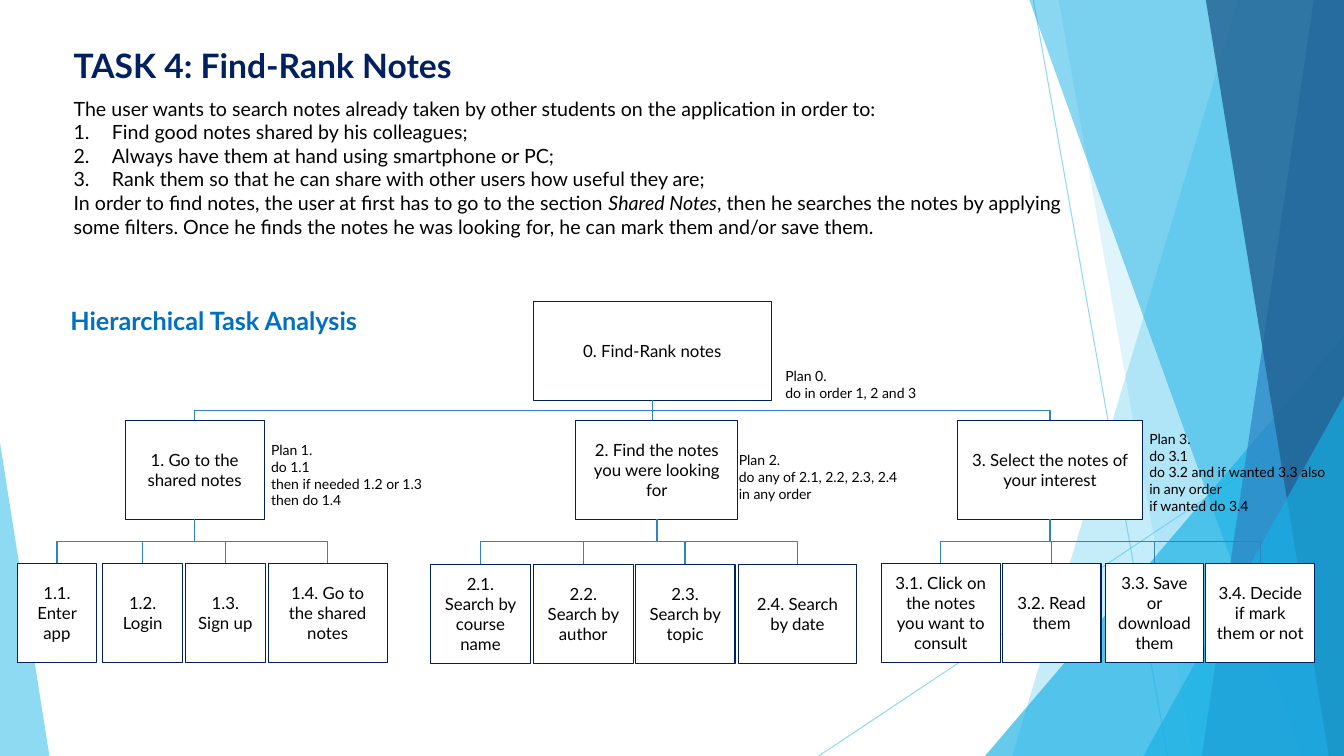
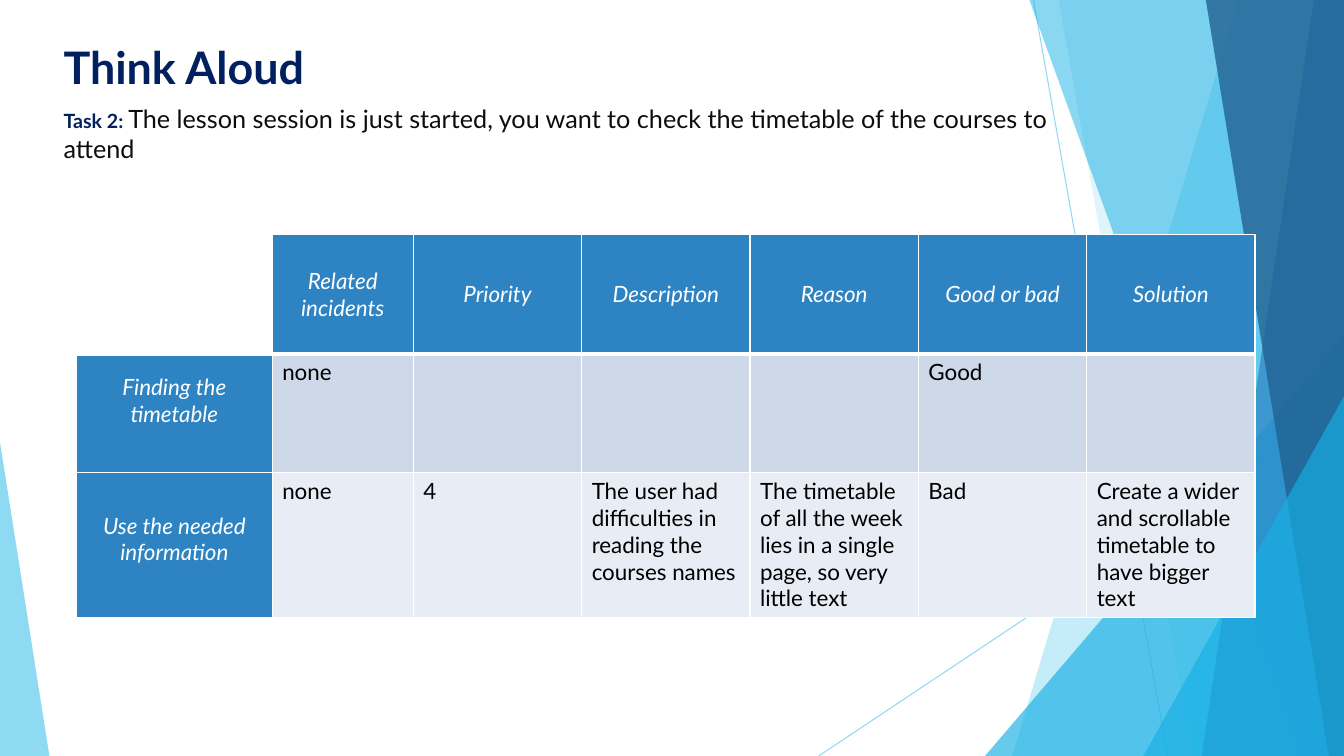
from pptx import Presentation
from pptx.dml.color import RGBColor
from pptx.enum.shapes import MSO_CONNECTOR as CXN, MSO_SHAPE as SHAPE
from pptx.enum.text import MSO_ANCHOR as ANCHOR, MSO_AUTO_SIZE as AUTO, PP_ALIGN as ALIGN
from pptx.oxml.ns import qn
from pptx.util import Inches, Pt
from lxml.etree import SubElement

FONT = "Lato"
NAVY = RGBColor(0x00, 0x20, 0x60)
HEADING = RGBColor(0x00, 0x70, 0xC0)
SKY = RGBColor(0x5F, 0xCB, 0xEF)
CYAN = RGBColor(0x17, 0xB0, 0xE4)
BLUE = RGBColor(0x2E, 0x83, 0xC3)
DEEP = RGBColor(0x22, 0x62, 0x92)
BLACK = RGBColor(0x00, 0x00, 0x00)
INK = RGBColor(0x0D, 0x0D, 0x0D)
WHITE = RGBColor(0xFF, 0xFF, 0xFF)
ROW_TINTS = [RGBColor(0xCD, 0xD9, 0xE9), RGBColor(0xE8, 0xED, 0xF5)]
WIDTH, HEIGHT = 13.33, 7.5
BOX_H = 0.98

RAYS = [(10.25, 0, 11.58, HEIGHT), (WIDTH, 4.03, 8.12, HEIGHT)]
BANDS = [
    ("band", (12.28, 10.04), SKY, 36),
    ("band", (10.5, 11.83), SKY, 20),
    ("triangle", (9.77, 3.33, 3.56, 1), CYAN, 66),
    ("band", (10.21, 12.91), CYAN, 50),
    ("band", (13.03, 11.92), BLUE, 70),
    ("band", (11.96, 13.18), DEEP, 80),
    ("triangle", (11.34, 3.93, 1.99, 1), CYAN, 66),
    ("triangle", (0, 4.39, 0.49, 0), SKY, 70),
]

INTRO = [
    "The user wants to search notes already taken by other students on the application in order to:",
    "Find good notes shared by his colleagues;",
    "Always have them at hand using smartphone or PC;",
    "Rank them so that he can share with other users how useful they are;",
    [("In order to find notes, the user at first has to go to the section ", {}),
     ("Shared Notes", {"italic": True}),
     (", then he searches the notes by applying some filters. Once he finds the notes he was "
      "looking for, he can mark them and/or save them.", {})],
]
TASKS = [
    ("1. Go to the shared notes", 1.24, 1.38, 5.59, [
        ("1.1. Enter app", 0.17, 0.79),
        ("1.2. Login", 1.02, 0.79),
        ("1.3. Sign up", 1.84, 0.79),
        ("1.4. Go to the shared notes", 2.66, 1.18)]),
    ("2. Find the notes you were looking for", 5.71, 1.61, 5.6, [
        ("2.1. Search by course name", 4.27, 0.99),
        ("2.2. Search by author", 5.29, 0.99),
        ("2.3. Search by topic", 6.3, 0.99),
        ("2.4. Search by date", 7.32, 1.18)]),
    ("3. Select the notes of your interest", 9.5, 1.83, 5.59, [
        ("3.1. Click on the notes you want to consult", 8.74, 1.18),
        ("3.2. Read them", 9.94, 0.98),
        ("3.3. Save or download them", 10.96, 0.98),
        ("3.4. Decide if mark them or not", 11.96, 1.08)]),
]
PLANS = [
    (7.69, 3.6, 1.59, 0.44, ["Plan 0.", "do in order 1, 2 and 3"]),
    (2.59, 4.33, 1.78, 0.77, ["Plan 1.", "do 1.1", "then if needed 1.2 or 1.3", "then do 1.4"]),
    (7.23, 4.43, 1.88, 0.61, ["Plan 2.", "do any of 2.1, 2.2, 2.3, 2.4 in any order"]),
    (11.3, 4.22, 2.02, 0.94, ["Plan 3.", "do 3.1", "do 3.2 and if wanted 3.3 also in any order",
                              "if wanted do 3.4"]),
]
FINDINGS = [
    ["", "Related incidents", "Priority", "Description", "Reason", "Good or bad", "Solution"],
    ["Finding the timetable", "none", "", "", "", "Good", ""],
    ["Use the needed information", "none", "4",
     "The user had difficulties in reading the courses names",
     "The timetable of all the week lies in a single page, so very little text",
     "Bad", "Create a wider and scrollable timetable to have bigger text"],
]


class Deck:
    def __init__(self):
        self.prs = Presentation()
        self.prs.slide_width, self.prs.slide_height = Inches(WIDTH), Inches(HEIGHT)
        self.layout = self.prs.slide_layouts[1]
        for ph in list(self.layout.placeholders)[2:]:
            ph.element.getparent().remove(ph.element)
        self.s = None

    def add_slide(self):
        self.s = self.prs.slides.add_slide(self.layout)

    def backdrop(self):
        group = self.s.shapes.add_group_shape()
        for ray in RAYS:
            self.line(group.shapes.add_connector(CXN.STRAIGHT, *map(Inches, ray)), SKY, 0.75, 70)
        for kind, geometry, color, alpha in BANDS:
            if kind == "band":
                top_x, bottom_x = map(Inches, geometry)
                right, bottom = Inches(WIDTH), Inches(HEIGHT)
                outline = group.shapes.build_freeform(top_x, 0)
                outline.add_line_segments([(right, 0), (right, bottom), (bottom_x, bottom)])
                sp = outline.convert_to_shape()
            else:
                x, y, w, apex = geometry
                sp = group.shapes.add_shape(SHAPE.ISOSCELES_TRIANGLE,
                                            *map(Inches, (x, y, w, HEIGHT - y)))
                sp.adjustments[0] = apex
            sp.shadow.inherit = False
            sp.fill.solid()
            sp.fill.fore_color.rgb = color
            sp.line.fill.background()
            self.alpha(sp, alpha)
        self.layout.placeholders[0].element.addprevious(group.element)

    def alpha(self, sp, percent):
        for color in sp.element.spPr.iter(qn("a:srgbClr")):
            SubElement(color, qn("a:alpha")).set("val", str(percent * 1000))

    def line(self, c, color, width, alpha=100):
        c.line.color.rgb = color
        c.line.width = Pt(width)
        SubElement(c.element.spPr, qn("a:effectLst"))
        if alpha < 100:
            self.alpha(c, alpha)

    def paragraphs(self, tf, lines, size, color=BLACK, bold=False, italic=False, align=ALIGN.LEFT):
        for i, line in enumerate(lines):
            p = tf.paragraphs[0] if i == 0 else tf.add_paragraph()
            p.alignment = align
            p.space_before = Pt(0)
            for text, style in [(line, {})] if isinstance(line, str) else line:
                r = p.add_run()
                r.text = text
                r.font.name = FONT
                r.font.size = Pt(style.get("size", size))
                r.font.bold = style.get("bold", bold)
                r.font.italic = style.get("italic", italic)
                r.font.color.rgb = style.get("color", color)

    def place(self, sp, box):
        sp.left, sp.top, sp.width, sp.height = map(Inches, box)
        sp.text_frame.auto_size = AUTO.NONE

    def title(self, text, box, size):
        sp = self.s.shapes.title
        self.place(sp, box)
        sp.text_frame.vertical_anchor = ANCHOR.MIDDLE
        sp.text_frame.word_wrap = False
        self.paragraphs(sp.text_frame, [text], size, NAVY, bold=True)

    def body(self, lines, box, size, color=BLACK, numbered=()):
        sp = self.s.placeholders[1]
        self.place(sp, box)
        self.paragraphs(sp.text_frame, lines, size, color)
        for i, p in enumerate(sp.text_frame.paragraphs):
            pPr = p._p.get_or_add_pPr()
            indent = Inches(0.38) if i in numbered else 0
            pPr.set("marL", str(indent))
            pPr.set("indent", str(-indent))
            if i in numbered:
                SubElement(pPr, qn("a:buFont")).set("typeface", "+mj-lt")
                SubElement(pPr, qn("a:buAutoNum")).set("type", "arabicPeriod")
            else:
                SubElement(pPr, qn("a:buNone"))

    def text(self, lines, box, size, color=BLACK, bold=False):
        tf = self.s.shapes.add_textbox(*map(Inches, box)).text_frame
        tf.word_wrap = True
        self.paragraphs(tf, lines, size, color, bold)

    def task(self, label, x, y, w):
        sp = self.s.shapes.add_shape(SHAPE.RECTANGLE, *map(Inches, (x, y, w, BOX_H)))
        sp.shadow.inherit = False
        sp.fill.solid()
        sp.fill.fore_color.rgb = WHITE
        sp.line.color.rgb = NAVY
        sp.line.width = Pt(0.75)
        sp.text_frame.word_wrap = True
        sp.text_frame.vertical_anchor = ANCHOR.MIDDLE
        self.paragraphs(sp.text_frame, [label], 12, align=ALIGN.CENTER)
        return sp

    def branch(self, parent, child):
        c = self.s.shapes.add_connector(CXN.ELBOW, 0, 0, 0, 0)
        c.begin_connect(parent, 2)
        c.end_connect(child, 0)
        x1, y1 = parent.left + parent.width // 2, parent.top + parent.height
        x2, y2 = child.left + child.width // 2, child.top
        drop, run = y2 - y1, abs(x2 - x1)
        c.left, c.top = (x1 + x2 - drop) // 2, (y1 + y2 - run) // 2
        c.width, c.height = drop, run
        rightward = x2 > x1
        xfrm = c.element.spPr.find(qn("a:xfrm"))
        xfrm.set("rot", "16200000" if rightward else "5400000")
        xfrm.set("flipH", "1" if rightward else "0")
        xfrm.set("flipV", "0")
        self.line(c, BLUE, 1)

    def stem(self, parent, child):
        x = parent.left + parent.width // 2
        c = self.s.shapes.add_connector(CXN.STRAIGHT, x, parent.top + parent.height, x, child.top)
        c.begin_connect(parent, 2)
        self.line(c, BLUE, 1)

    def borders(self, cell, top, bottom):
        tcPr = cell._tc.get_or_add_tcPr()
        for side, width in (("L", 1), ("R", 1), ("T", top), ("B", bottom)):
            ln = SubElement(tcPr, qn("a:ln" + side), w=str(Pt(width)))
            SubElement(SubElement(ln, qn("a:solidFill")), qn("a:srgbClr")).set("val", str(WHITE))

    def table(self, rows, x, y, widths, heights, label_tops):
        frame = self.s.shapes.add_table(len(rows), len(widths), *map(
            Inches, (x, y, sum(widths), sum(heights))))
        table = frame.table
        table.first_row = table.horz_banding = False
        for column, w in zip(table.columns, widths):
            column.width = Inches(w)
        for i, (row, h) in enumerate(zip(rows, heights)):
            table.rows[i].height = Inches(h)
            for j, text in enumerate(row):
                cell = table.cell(i, j)
                label = i == 0 or j == 0
                self.borders(cell, 3 if i == 1 else 1, 3 if i == 0 else 1)
                if i == j == 0:
                    cell.fill.background()
                    continue
                cell.fill.solid()
                cell.fill.fore_color.rgb = BLUE if label else ROW_TINTS[i - 1]
                if i == 0:
                    cell.vertical_anchor = ANCHOR.MIDDLE
                elif j == 0:
                    cell.margin_top = Inches(label_tops[i - 1])
                if text:
                    self.paragraphs(cell.text_frame, [text], 16, WHITE if label else BLACK,
                                    italic=label, align=ALIGN.CENTER if label else ALIGN.LEFT)


def main():
    deck = Deck()
    deck.add_slide()
    deck.backdrop()
    deck.title("TASK 4: Find-Rank Notes", (0.63, 0.4, 4.25, 0.5), 24)
    deck.body(INTRO, (0.63, 0.91, 10.29, 1.51), 14, numbered=(1, 2, 3))
    deck.text(["Hierarchical Task Analysis"], (0.6, 2.98, 3.5, 0.4), 18, HEADING, bold=True)
    root = deck.task("0. Find-Rank notes", 5.29, 2.99, 2.36)
    for i, (label, x, w, child_y, steps) in enumerate(TASKS):
        task = deck.task(label, x, 4.17, w)
        (deck.stem if i == 1 else deck.branch)(root, task)
        for step, step_x, step_w in steps:
            deck.branch(task, deck.task(step, step_x, child_y, step_w))
    for *box, lines in PLANS:
        deck.text(lines, box, 10)

    deck.add_slide()
    deck.title("Think Aloud", (0.53, 0.34, 6.82, 0.64), 32)
    deck.body([[("Task 2: ", {"size": 14, "color": NAVY, "bold": True}),
                ("The lesson session is just started, you want to check the timetable of the "
                 "courses to attend", {})]], (0.53, 0.97, 10.45, 0.7), 18, INK)
    deck.table(FINDINGS, 0.76, 2.33, [1.94, 1.4] + [1.67] * 5, [1.18, 1.18, 1.44], (0.2, 0.39))
    deck.prs.save("out.pptx")


if __name__ == "__main__":
    main()
